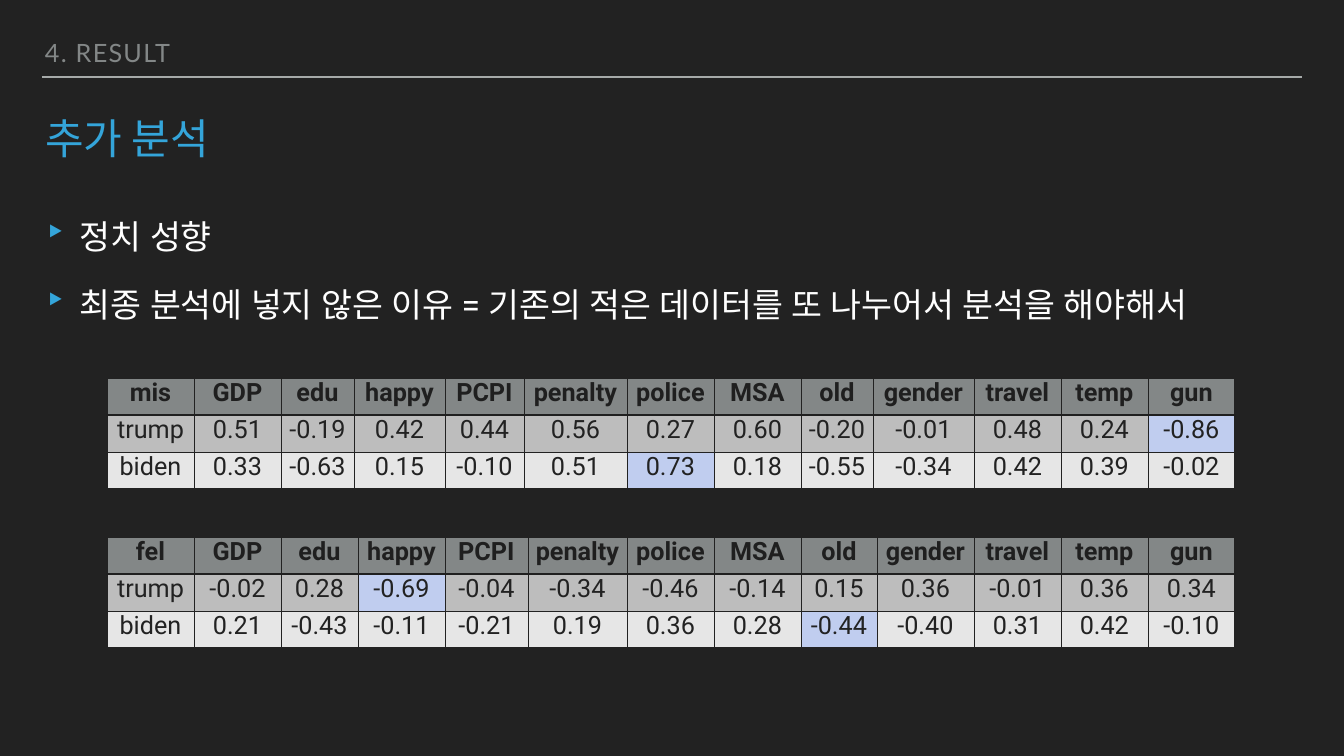
from lxml.etree import SubElement
from pptx import Presentation
from pptx.dml.color import RGBColor
from pptx.enum.shapes import MSO_CONNECTOR as Line
from pptx.enum.text import MSO_ANCHOR as Anchor, MSO_AUTO_SIZE as Auto, PP_ALIGN as Align
from pptx.oxml import parse_xml
from pptx.oxml.ns import nsdecls, qn
from pptx.util import Pt

PX = 914400 / 50.4
DARK, INK, BLUE, GREY = "222222", "1F1F1F", "34A5DA", "838787"
LIGHT = "C0CDEF"
BANDS = [GREY, "BDBDBD", "E6E6E6"]
KOREAN = "Noto Sans CJK KR"

HEADER = "4. RESULT"
TITLE = "추가 분석"
POINTS = [
    "정치 성향",
    "최종 분석에 넣지 않은 이유 = 기존의 적은 데이터를 또 나누어서 분석을 해야해서",
]
NAMES = "GDP edu happy PCPI penalty police MSA old gender travel temp gun".split()
LEFT, ROW = 107, 37
TABLES = [
    {
        "name": "mis", "top": 378,
        "cols": [87, 87, 73, 91, 79, 103, 87, 87, 72, 101, 87, 87, 87],
        "trump": "0.51 -0.19 0.42 0.44 0.56 0.27 0.60 -0.20 -0.01 0.48 0.24 -0.86",
        "biden": "0.33 -0.63 0.15 -0.10 0.51 0.73 0.18 -0.55 -0.34 0.42 0.39 -0.02",
        "marks": {("trump", "gun"), ("biden", "police")},
    },
    {
        "name": "fel", "top": 537,
        "cols": [87, 87, 77, 87, 83, 99, 87, 87, 76, 97, 87, 87, 87],
        "trump": "-0.02 0.28 -0.69 -0.04 -0.34 -0.46 -0.14 0.15 0.36 -0.01 0.36 0.34",
        "biden": "0.21 -0.43 -0.11 -0.21 0.19 0.36 0.28 -0.44 -0.40 0.31 0.42 -0.10",
        "marks": {("trump", "happy"), ("biden", "old")},
    },
]


def px(n):
    return round(n * PX)


def rgb(code):
    return RGBColor.from_string(code)


def write(para, text, size, face, color, bold=False):
    run = para.add_run()
    run.text = text
    font = run.font
    font.color.rgb = rgb(color)
    for key, val in {"size": Pt(size), "name": face, "bold": bold}.items():
        setattr(font, key, val)
    SubElement(run._r.rPr, qn("a:ea"), typeface=face)
    return run


def setup(shape, box, anchor):
    """Place a text shape and give its frame the common format."""
    for key, val in zip(("left", "top", "width", "height"), box):
        setattr(shape, key, px(val))
    frame = shape.text_frame
    form = {"word_wrap": True, "auto_size": Auto.NONE, "vertical_anchor": anchor}
    form.update({f"margin_{side}": px(3) for side in ("left", "top", "right", "bottom")})
    for key, val in form.items():
        setattr(frame, key, val)
    return frame


def bullet(para):
    props = para._p.get_or_add_pPr()
    props.set("marL", str(px(35)))
    props.set("indent", str(-px(35)))
    color = SubElement(props, qn("a:buClr"))
    SubElement(color, qn("a:srgbClr"), val=BLUE)
    SubElement(props, qn("a:buSzPct"), val="105000")
    SubElement(props, qn("a:buChar"), char="‣")


def edge(cell, sides):
    """Draw cell borders from (side, colour, points) triples in L, R, T, B order."""
    props = cell._tc.get_or_add_tcPr()
    for i, (side, color, width) in enumerate(sides):
        props.insert(i, parse_xml(
            f'<a:ln{side} {nsdecls("a")} w="{Pt(width)}"><a:solidFill>'
            f'<a:srgbClr val="{color}"/></a:solidFill></a:ln{side}>'))


def grid(slide, data):
    rows = [[data["name"], *NAMES]]
    rows += [[who, *data[who].split()] for who in ("trump", "biden")]
    cols = data["cols"]
    last = len(cols) - 1
    table = slide.shapes.add_table(len(rows), len(cols), px(LEFT), px(data["top"]),
                                   px(sum(cols)), px(ROW * len(rows))).table
    table.first_row = table.horz_banding = False
    for col, width in zip(table.columns, cols):
        col.width = px(width)
    for r, row in enumerate(rows):
        table.rows[r].height = px(ROW)
        head = r == 0
        for c, text in enumerate(row):
            cell = table.cell(r, c)
            for side in ("left", "right", "top", "bottom"):
                setattr(cell, f"margin_{side}", 0)
            cell.vertical_anchor = Anchor.TOP
            marked = (row[0], rows[0][c]) in data["marks"]
            cell.fill.solid()
            cell.fill.fore_color.rgb = rgb(LIGHT if marked else BANDS[r])
            para = cell.text_frame.paragraphs[0]
            para.alignment = Align.CENTER
            write(para, text, 36, "Roboto", INK if head else DARK, head)
            base = (INK, 2.79) if head else (DARK, 3.15 if r == 2 else 1)
            edge(cell, [("L", DARK, 1 if c else 3.15),
                        ("R", DARK, 3.15 if c == last else 1),
                        ("T", DARK, 3.15 if head else 1),
                        ("B", *base)])


def main():
    deck = Presentation()
    deck.slide_width, deck.slide_height = px(1344), px(756)
    slide = deck.slides.add_slide(deck.slide_layouts[5])
    slide.background.fill.solid()
    slide.background.fill.fore_color.rgb = rgb(DARK)
    shapes = slide.shapes

    rule = shapes.add_connector(Line.STRAIGHT, px(42), px(77), px(1302), px(77))
    rule.line.color.rgb = rgb("A6AAA9")
    rule.line.width = Pt(2)
    SubElement(rule._element.spPr, qn("a:effectLst"))

    head = setup(shapes.add_textbox(0, 0, 0, 0), (42, 40, 1155, 30), Anchor.BOTTOM)
    para = head.paragraphs[0]
    para.line_spacing = 0.8
    run = write(para, HEADER, 36, "Lato", GREY)
    run._r.rPr.set("spc", "180")

    para = setup(shapes.title, (42, 119, 1260, 56), Anchor.TOP).paragraphs[0]
    para.alignment = Align.LEFT
    para.line_spacing = 0.8
    write(para, TITLE, 60, KOREAN, BLUE)

    body = setup(shapes.add_textbox(0, 0, 0, 0), (42, 213, 1260, 473), Anchor.TOP)
    for i, text in enumerate(POINTS):
        para = body.add_paragraph() if i else body.paragraphs[0]
        para.space_before = Pt(39)
        bullet(para)
        write(para, text, 48, "Roboto", "FFFFFF")

    for data in TABLES:
        grid(slide, data)
    deck.save("out.pptx")


if __name__ == "__main__":
    main()
